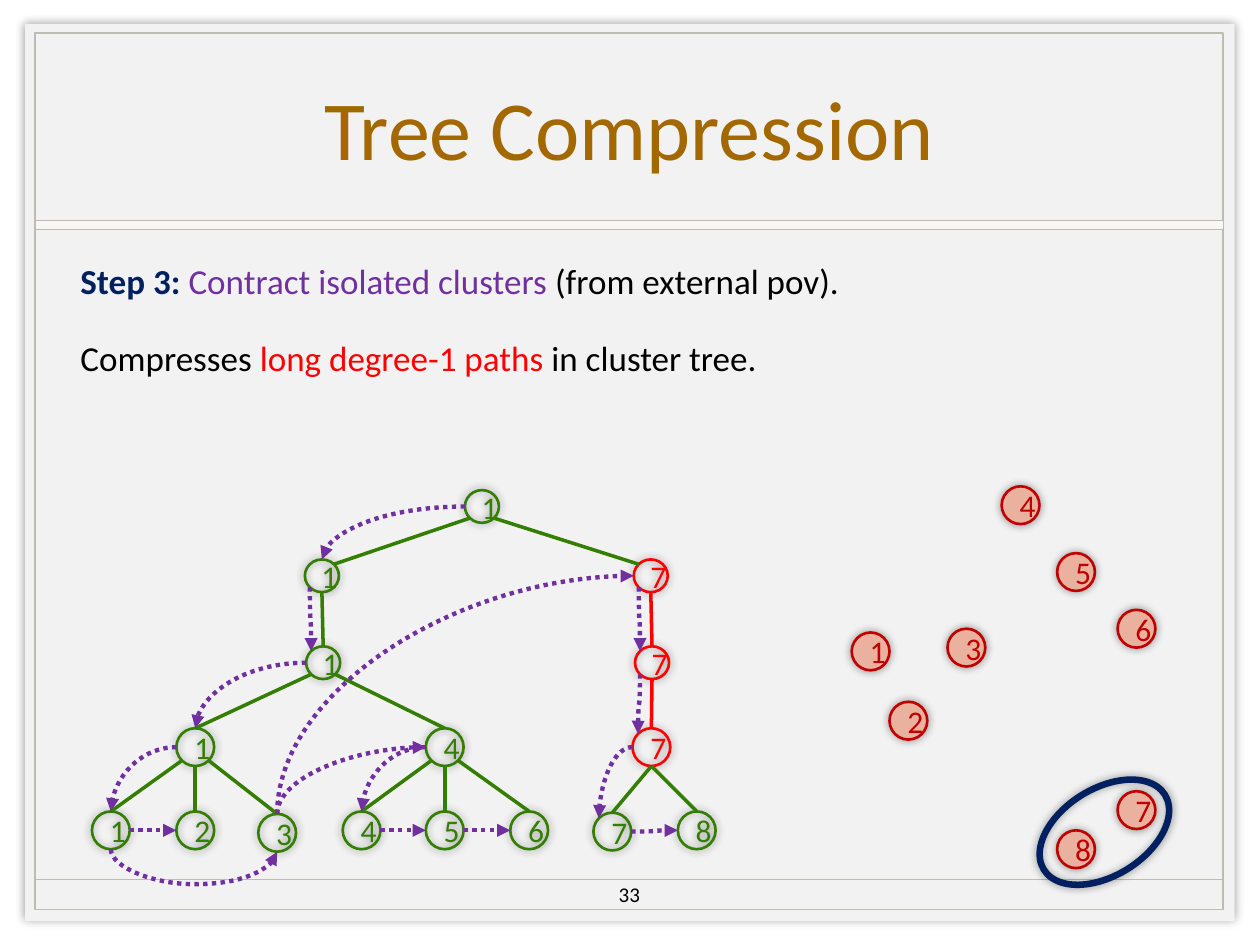
from math import sqrt

from lxml import etree
from pptx import Presentation
from pptx.dml.color import RGBColor
from pptx.enum.dml import MSO_LINE
from pptx.enum.shapes import MSO_CONNECTOR, MSO_SHAPE
from pptx.enum.text import MSO_ANCHOR, PP_ALIGN
from pptx.oxml.ns import qn
from pptx.util import Inches, Pt

COLORS = {
    "page": "F2F2F2", "frame": "BCBCB2", "band": "F8F7F3", "title": "A36900",
    "green": "347E02", "red": "FF0000", "purple": "7030A0", "navy": "002060",
    "dark_red": "C00000", "pink": "EBB19F", "black": "000000",
}
FONT = "Calibri"

# Directions from the centre of a node to its connection sites
D = 1 / sqrt(2)
SITES = {
    "t": (0, -1), "b": (0, 1), "l": (-1, 0), "r": (1, 0),
    "tl": (-D, -D), "tr": (D, -D), "bl": (-D, D), "br": (D, D),
}

# Tree nodes: left, top, width, height, label, colour
BIG, SMALL = (0.3, 0.3), (0.27, 0.26)
TREE = {
    "root": (3.69, 3.89, *SMALL, "1", "green"),
    "left1": (2.42, 4.44, *SMALL, "1", "green"),
    "left2": (2.43, 5.13, *SMALL, "1", "green"),
    "right1": (5.03, 4.44, *SMALL, "7", "red"),
    "right2": (5.04, 5.13, *SMALL, "7", "red"),
    "sub1": (1.4, 5.78, *BIG, "1", "green"),
    "sub4": (3.38, 5.78, *BIG, "4", "green"),
    "sub7": (5.02, 5.78, *BIG, "7", "red"),
}
LEAVES = [(0.73, 6.44), (1.4, 6.44), (2.05, 6.46), (2.72, 6.44),
          (3.38, 6.44), (4.05, 6.44), (4.71, 6.45), (5.38, 6.44)]
for i, (x, y) in enumerate(LEAVES, 1):
    TREE[f"leaf{i}"] = (x, y, *BIG, str(i), "green")

# Tree edges: parent, site, child, site
EDGES = [
    ("root", "bl", "left1", "tr"), ("root", "br", "right1", "tl"),
    ("left1", "b", "left2", "t"), ("right1", "b", "right2", "t"),
    ("left2", "bl", "sub1", "t"), ("left2", "br", "sub4", "t"),
    ("right2", "b", "sub7", "t"),
    ("sub1", "bl", "leaf1", "t"), ("sub1", "b", "leaf2", "t"),
    ("sub1", "br", "leaf3", "t"),
    ("sub4", "bl", "leaf4", "t"), ("sub4", "b", "leaf5", "t"),
    ("sub4", "br", "leaf6", "t"),
    ("sub7", "b", "leaf7", "t"), ("sub7", "b", "leaf8", "t"),
]

# Traversal arrows: a bend turns once, a wave turns twice
BENDS = [
    ("root", "l", "left1", "t"), ("left2", "l", "sub1", "t"),
    ("sub1", "l", "leaf1", "t"), ("leaf3", "t", "sub4", "l"),
    ("leaf3", "t", "right1", "l"), ("sub4", "l", "leaf4", "t"),
    ("sub7", "l", "leaf7", "tl"),
]
WAVES = [
    ("left1", "bl", "left2", "tl"), ("right1", "bl", "right2", "tl"),
    ("right2", "bl", "sub7", "tl"),
    ("leaf1", "r", "leaf2", "l"), ("leaf4", "r", "leaf5", "l"),
    ("leaf5", "r", "leaf6", "l"), ("leaf7", "r", "leaf8", "l"),
]

# Graph vertices in label order
VERTICES = [(6.76, 5.02), (7.06, 5.57), (7.52, 4.99), (7.95, 3.86),
            (8.39, 4.39), (8.87, 4.84), (8.87, 6.28), (8.39, 6.59)]


def rgb(name):
    return RGBColor.from_string(COLORS[name])


def site(node, side):
    x, y, w, h = TREE[node][:4]
    dx, dy = SITES[side]
    return x + w / 2 * (1 + dx), y + h / 2 * (1 + dy)


class SlideBuilder:
    def __init__(self, slide):
        self.slide = slide

    def shape(self, kind, box, fill=None, line=None, width=1.0, shadow=False):
        sp = self.slide.shapes.add_shape(kind, *map(Inches, box))
        sp.shadow.inherit = False
        if fill:
            sp.fill.solid()
            sp.fill.fore_color.rgb = rgb(fill)
        else:
            sp.fill.background()
        if line:
            sp.line.color.rgb = rgb(line)
            sp.line.width = Pt(width)
        else:
            sp.line.fill.background()
        if shadow:
            effects = sp._element.spPr.find(qn("a:effectLst"))
            outer = etree.SubElement(effects, qn("a:outerShdw"), blurRad=str(Pt(5)),
                                     dist="0", dir="0", algn="ctr", rotWithShape="0")
            color = etree.SubElement(outer, qn("a:srgbClr"), val=COLORS["black"])
            etree.SubElement(color, qn("a:alpha"), val="40000")
        return sp

    def run(self, p, text, size, color, bold=False):
        r = p.add_run()
        r.text = text
        r.font.name, r.font.size, r.font.bold = FONT, Pt(size), bold
        r.font.color.rgb = rgb(color)

    def node(self, x, y, w, h, label, color, fill=None):
        sp = self.shape(MSO_SHAPE.OVAL, (x, y, w, h), fill, color, 1.5, shadow=True)
        tf = sp.text_frame
        tf.vertical_anchor = MSO_ANCHOR.MIDDLE
        tf.paragraphs[0].alignment = PP_ALIGN.CENTER
        self.run(tf.paragraphs[0], label, 18, color)

    def text(self, box, paragraphs, size, centered=False):
        tf = self.slide.shapes.add_textbox(*map(Inches, box)).text_frame
        tf.word_wrap = True
        tf.vertical_anchor = MSO_ANCHOR.MIDDLE if centered else MSO_ANCHOR.TOP
        for i, runs in enumerate(paragraphs):
            p = tf.add_paragraph() if i else tf.paragraphs[0]
            p.alignment = PP_ALIGN.CENTER if centered else PP_ALIGN.LEFT
            if i:
                p.space_before = Pt(20)
            for content, *style in runs:
                self.run(p, content, size, *style)

    def line(self, start, end, color, width, kind=MSO_CONNECTOR.STRAIGHT):
        cn = self.slide.shapes.add_connector(kind, *map(Inches, (*start, *end)))
        cn.line.color.rgb = rgb(color)
        cn.line.width = Pt(width)
        etree.SubElement(cn._element.spPr, qn("a:effectLst"))
        return cn

    def arrow(self, start, end, preset, upright=False, adjust=None):
        cn = self.line(start, end, "purple", 2.5, MSO_CONNECTOR.CURVE)
        cn.line.dash_style = MSO_LINE.ROUND_DOT
        props = cn._element.spPr
        etree.SubElement(props.find(qn("a:ln")), qn("a:tailEnd"), type="triangle")
        geom = props.find(qn("a:prstGeom"))
        geom.set("prst", preset)
        if adjust:
            guides = geom.find(qn("a:avLst"))
            etree.SubElement(guides, qn("a:gd"), name="adj1", fmla=f"val {adjust}")
        if upright:  # leaves its start vertically: a quarter turn of the box
            (x1, y1), (x2, y2) = start, end
            w, h = abs(y2 - y1), abs(x2 - x1)
            cn.left, cn.top = Inches((x1 + x2 - w) / 2), Inches((y1 + y2 - h) / 2)
            cn.width, cn.height = Inches(w), Inches(h)
            xfrm = props.find(qn("a:xfrm"))
            xfrm.set("rot", "5400000")
            xfrm.set("flipH", str(int(y2 < y1)))
            xfrm.set("flipV", str(int(x2 > x1)))


def main():
    prs = Presentation()
    prs.slide_width, prs.slide_height = Inches(10), Inches(7.5)
    s = SlideBuilder(prs.slides.add_slide(prs.slide_layouts[6]))

    # Page frame
    s.shape(MSO_SHAPE.RECTANGLE, (0.2, 0.19, 9.6, 7.12), "page", shadow=True)
    s.shape(MSO_SHAPE.RECTANGLE, (0.28, 0.26, 9.43, 6.96), line="frame")
    s.line((0.28, 6.98), (9.71, 6.98), "frame", 1)
    s.shape(MSO_SHAPE.RECTANGLE, (0.28, 1.75, 9.43, 0.07), "band", "frame", 0.25)

    # Title, body and page number
    s.text((0.98, 0.27, 8.03, 1.47), [[("Tree Compression", "title")]], 48, True)
    s.text((0.54, 2.01, 8.95, 4.75), [
        [("Step 3: ", "navy", True), ("Contract isolated clusters ", "purple"),
         ("(from external pov).", "black")],
        [("Compresses ", "black"), ("long degree-1 paths ", "red"),
         ("in cluster tree.", "black")],
    ], 20)
    s.text((4.58, 6.95, 0.83, 0.3), [[("33", "black")]], 12, True)

    # Cluster tree; edges between two red nodes are red
    for node in TREE.values():
        s.node(*node)
    for a, side_a, b, side_b in EDGES:
        color = "red" if TREE[a][5] == TREE[b][5] == "red" else "green"
        s.line(site(a, side_a), site(b, side_b), color, 2)

    # Traversal arrows
    for a, side_a, b, side_b in BENDS:
        s.arrow(site(a, side_a), site(b, side_b), "curvedConnector2", side_a == "t")
    for a, side_a, b, side_b in WAVES:
        s.arrow(site(a, side_a), site(b, side_b), "curvedConnector3", side_a == "bl")
    s.arrow(site("leaf1", "b"), site("leaf3", "b"), "curvedConnector3", True, 1381800)

    # Graph with the isolated cluster circled
    for i, (x, y) in enumerate(VERTICES, 1):
        s.node(x, y, *BIG, str(i), "dark_red", "pink")
    ring = s.shape(MSO_SHAPE.OVAL, (8.2, 6.26, 1.13, 0.69), None, "navy", 3.75, True)
    ring.rotation = 328.3

    prs.save("out.pptx")


if __name__ == "__main__":
    main()
